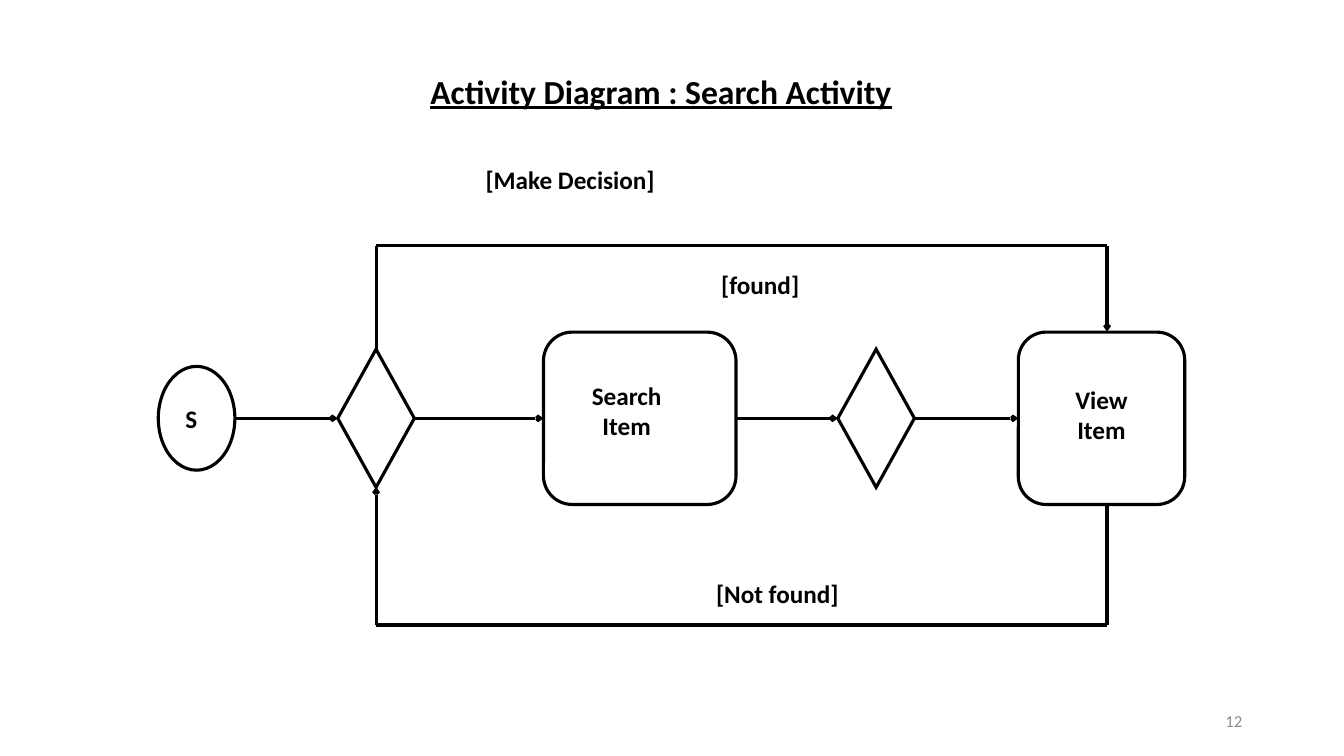
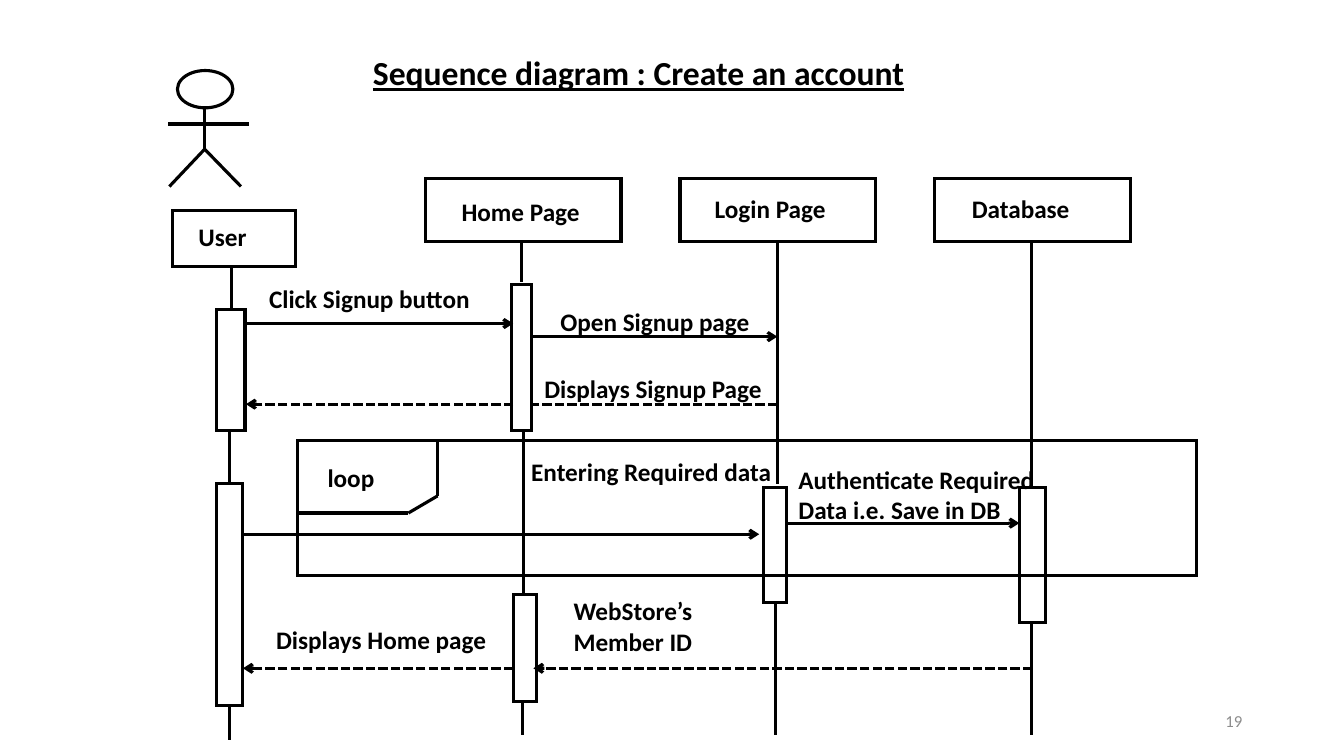
"""Build an activity diagram slide and a sequence diagram slide."""
from itertools import pairwise

from lxml import etree
from pptx import Presentation
from pptx.dml.color import RGBColor
from pptx.enum.dml import MSO_LINE as Dash
from pptx.enum.shapes import MSO_CONNECTOR as Conn, MSO_SHAPE as Kind
from pptx.enum.text import MSO_ANCHOR as Anchor, PP_ALIGN as Align
from pptx.oxml.ns import qn
from pptx.util import Inches, Pt

INK = RGBColor(0x00, 0x00, 0x00)
GRAY = RGBColor(0x8C, 0x8C, 0x8C)
FONT = "Calibri"
MID = 4.15


def pen(item):
    item.line.color.rgb = INK
    item.line.width = Pt(2.25)


def text(slide, words, x, y, w, h=0.4, size=18, color=INK, bold=True,
         under=False, align=Align.LEFT, anchor=Anchor.TOP):
    frame = slide.shapes.add_textbox(
        Inches(x), Inches(y), Inches(w), Inches(h)).text_frame
    frame.word_wrap = True
    frame.vertical_anchor = anchor
    frame.text = words
    for para in frame.paragraphs:
        para.alignment = align
        font = para.font
        font.name, font.size, font.bold = FONT, Pt(size), bold
        font.underline = under
        font.color.rgb = color


def shape(slide, kind, x, y, w, h):
    item = slide.shapes.add_shape(
        kind, Inches(x), Inches(y), Inches(w), Inches(h))
    item.shadow.inherit = False
    item.fill.background()
    pen(item)
    etree.SubElement(item.line._get_or_add_ln(), qn("a:miter"), lim="800000")


def line(slide, start, end, tip=None, dash=False):
    item = slide.shapes.add_connector(
        Conn.STRAIGHT, *(Inches(v) for v in (*start, *end)))
    pen(item)
    if dash:
        item.line.dash_style = Dash.SQUARE_DOT
    if tip:
        etree.SubElement(item.line._get_or_add_ln(), qn("a:tailEnd"),
                         type="arrow", w=tip, len=tip)
    etree.SubElement(item._element.spPr, qn("a:effectLst"))


def route(slide, points, tip=None):
    legs = list(pairwise(points))
    for start, end in legs[:-1]:
        line(slide, start, end)
    line(slide, *legs[-1], tip=tip)


def page(deck, title, x, y, w, number):
    slide = deck.slides.add_slide(deck.slide_layouts[6])
    text(slide, title, x, y, w, 0.5, size=24, under=True)
    text(slide, number, 9.42, 6.95, 3, size=12, color=GRAY, bold=False,
         align=Align.RIGHT, anchor=Anchor.MIDDLE)
    return slide


def search(deck):
    slide = page(deck, "Activity Diagram : Search Activity",
                 4.17, 0.65, 6.19, "12")
    nodes = [
        (Kind.OVAL, 1.57, 0.76, 1.03),
        (Kind.DIAMOND, 3.35, 0.76, 1.37),
        (Kind.ROUNDED_RECTANGLE, 5.39, 1.91, 1.71),
        (Kind.DIAMOND, 8.31, 0.76, 1.37),
        (Kind.ROUNDED_RECTANGLE, 10.1, 1.65, 1.71),
    ]
    for kind, x, w, h in nodes:
        shape(slide, kind, x, MID - h / 2, w, h)
    for (_, x, w, _), (_, end, _, _) in pairwise(nodes):
        line(slide, (x + w, MID), (end, MID), tip="sm")
    left, right = 3.73, 10.98
    route(slide, [(left, 3.47), (left, 2.44), (right, 2.44), (right, 3.29)],
          tip="sm")
    route(slide, [(right, 5), (right, 6.2), (left, 6.2), (left, 4.83)],
          tip="sm")
    text(slide, "S", 1.74, 3.95, 0.49)
    for words, x, y, w, h in [
        ("[Make Decision]", 4.21, 1.58, 2.89, 0.83),
        ("[found]", 6.79, 2.62, 1.5, 0.83),
        ("[Not found]", 6.62, 5.69, 2.18, 0.83),
        ("Search Item", 5.64, 3.72, 1.15, 0.71),
        ("View Item", 10.31, 3.76, 1.23, 0.71),
    ]:
        text(slide, words, x, y, w, h, align=Align.CENTER)


def actor(slide):
    shape(slide, Kind.OVAL, 1.76, 0.7, 0.55, 0.37)
    line(slide, (2.03, 1.06), (2.03, 1.49))
    line(slide, (1.67, 1.23), (2.47, 1.23))
    route(slide, [(1.68, 1.85), (2.03, 1.48), (2.39, 1.85)])


def account(deck):
    slide = page(deck, "Sequence diagram : Create an account",
                 3.6, 0.47, 7.02, "19")
    actor(slide)
    shape(slide, Kind.RECTANGLE, 1.71, 2.09, 1.22, 0.55)
    for col in range(3):
        shape(slide, Kind.RECTANGLE, 4.22 + 2.525 * col, 1.77, 1.94, 0.63)
    for x, y, w, h in [
        (2.15, 3.07, 0.28, 1.2), (2.15, 4.8, 0.26, 2.2),
        (5.07, 2.82, 0.2, 1.45), (5.09, 5.9, 0.23, 1.06),
        (7.57, 4.84, 0.23, 1.14), (10.11, 4.84, 0.26, 1.34),
        (2.95, 4.37, 8.92, 1.34),
    ]:
        shape(slide, Kind.RECTANGLE, x, y, w, h)
    route(slide, [(2.95, 5.09), (4.05, 5.09), (4.34, 4.92), (4.34, 4.39)])
    for x, top, end in [
        (2.3, 2.64, 3.07), (2.28, 4.27, 4.8), (2.28, 7, 7.34),
        (5.17, 2.41, 2.8), (5.19, 4.29, 5.9), (5.18, 6.95, 7.29),
        (7.71, 2.41, 4.8), (7.69, 5.98, 7.29),
        (10.23, 2.41, 4.84), (10.23, 6.18, 7.29),
    ]:
        line(slide, (x, top), (x, end))
    for y, x, end, tip, dash in [
        (3.21, 2.44, 5.09, "med", False), (3.34, 5.29, 7.71, "med", False),
        (4.01, 7.71, 5.29, None, True), (4.01, 5.09, 2.44, "med", True),
        (5.3, 2.41, 7.53, "med", False), (5.19, 7.8, 10.11, "med", False),
        (6.63, 10.24, 5.29, "med", True), (6.63, 5.09, 2.41, "med", True),
    ]:
        line(slide, (x, y), (end, y), tip, dash)
    for words, x, y, w in [
        ("User", 1.87, 2.15, 1.22),
        ("Home Page", 4.48, 1.9, 1.66),
        ("Login Page", 6.99, 1.87, 1.66),
        ("Database", 9.54, 1.87, 1.66),
        ("Click Signup button", 2.57, 2.76, 2.26),
        ("Open Signup page", 5.46, 2.99, 2.17),
        ("Displays Signup Page", 5.3, 3.65, 2.42),
        ("loop", 3.15, 4.54, 2.09),
        ("Entering Required data", 5.17, 4.48, 2.59),
        ("Authenticate Required Data i.e. Save in DB", 7.82, 4.56, 2.85),
        ("WebStore’s\nMember ID", 5.59, 5.86, 2.39),
        ("Displays Home page", 2.64, 6.14, 2.49),
    ]:
        text(slide, words, x, y, w)


def main():
    deck = Presentation()
    deck.slide_width, deck.slide_height = Inches(13.33), Inches(7.5)
    search(deck)
    account(deck)
    deck.save("out.pptx")


if __name__ == "__main__":
    main()
